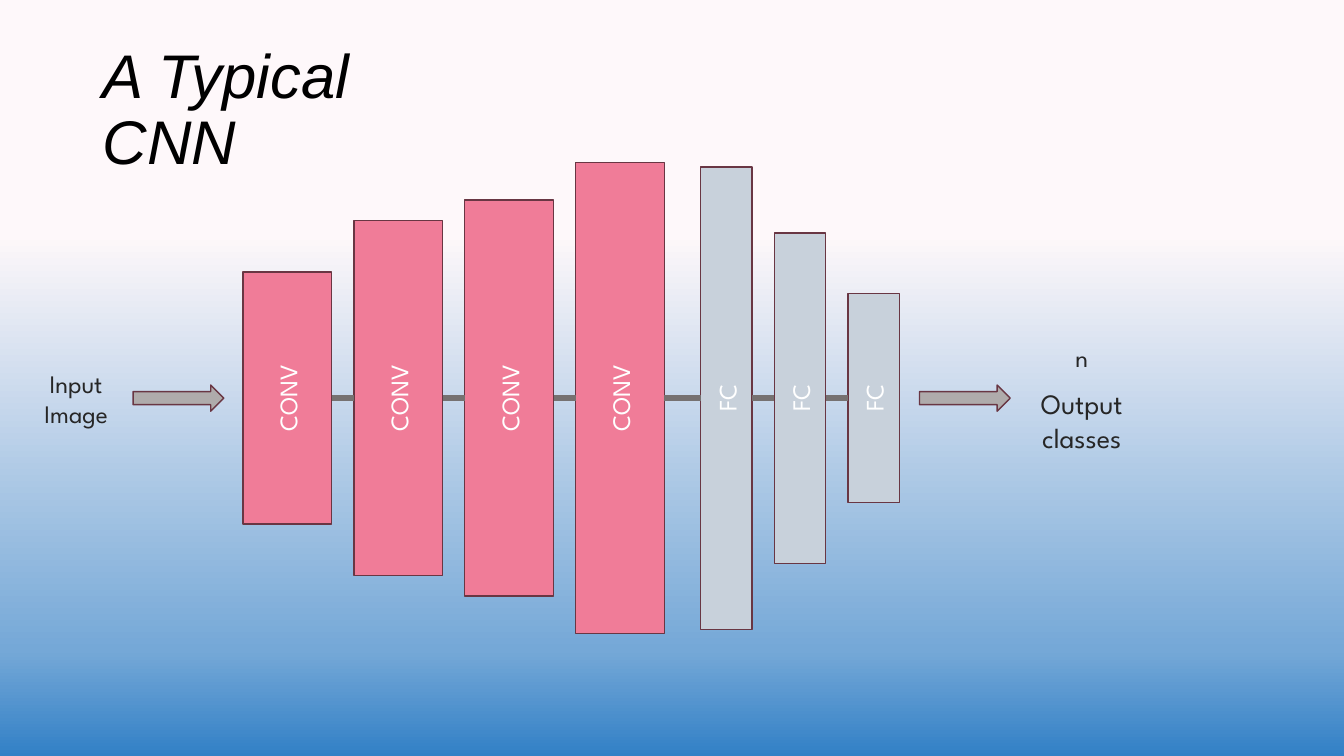
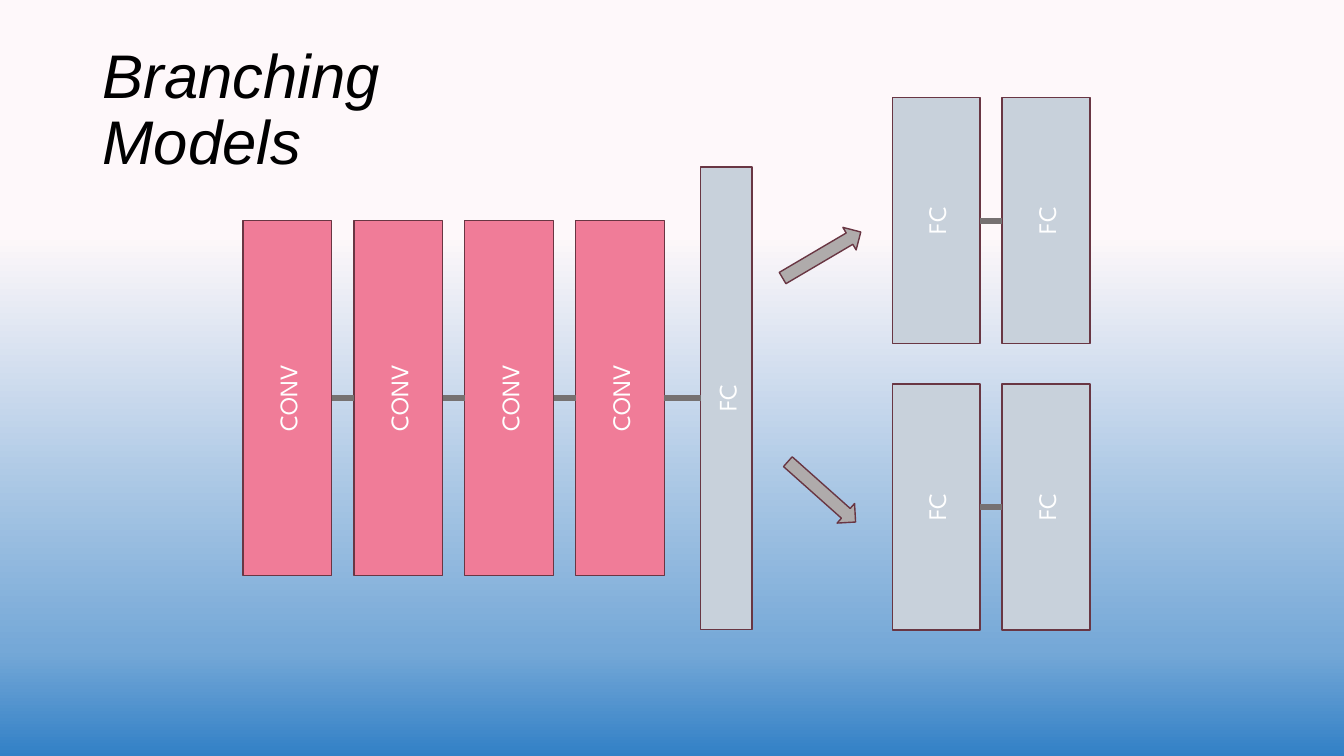
import copy
from dataclasses import dataclass

import pptx
import pptx.dml.color
import pptx.enum.shapes
import pptx.enum.text
import pptx.oxml
import pptx.oxml.ns
import pptx.util
from pptx.util import Inches

Color = pptx.dml.color.RGBColor
Shape = pptx.enum.shapes.MSO_SHAPE
Align = pptx.enum.text.PP_ALIGN
Anchor = pptx.enum.text.MSO_ANCHOR

PINK = Color(0xF0, 0x7C, 0x98)
SILVER = Color(0xC8, 0xD1, 0xDB)
ARROW_GRAY = Color(0xAF, 0xAB, 0xAB)
LINK_GRAY = Color(0x76, 0x71, 0x71)
MAROON = Color(0x69, 0x36, 0x43)
INK = Color(0x26, 0x26, 0x26)
BLACK = Color(0, 0, 0)
WHITE = Color(0xFF, 0xFF, 0xFF)
SKY = [
    (0.31, Color(0xFE, 0xF8, 0xFA)),
    (0.86, Color(0x75, 0xA8, 0xD7)),
    (1.0, Color(0x32, 0x80, 0xC6)),
]
TITLE_FONT = "Arial"
BODY_FONT = "League Spartan"

GAP = 0.22
MIDDLE = 3.95
CONV_LEFT = 2.41
FC_LEFT = 6.95
ARROW_WIDTH, ARROW_HEIGHT = 0.9, 0.26


@dataclass
class Layer:
    label: str
    fill: Color
    width: float


CONV = Layer("CONV", PINK, 0.88)
FC = Layer("FC", SILVER, 0.51)
BRANCH_FC = Layer("FC", SILVER, 0.87)


def paint_background(master):
    fill = master.background.fill
    fill.gradient()
    fill.gradient_angle = 270
    stop_list = master.element.find(".//" + pptx.oxml.ns.qn("a:gsLst"))
    stop_list.append(copy.deepcopy(stop_list[-1]))
    for stop, (position, color) in zip(fill.gradient_stops, SKY):
        stop.position = position
        stop.color.rgb = color


def style_font(para, name, size, color):
    para.font.name = name
    para.font.size = pptx.util.Pt(size)
    para.font.color.rgb = color


def add_outlined_shape(page, kind, left, top, width, height, fill):
    shape = page.shapes.add_shape(
        kind, Inches(left), Inches(top), Inches(width), Inches(height))
    shape.shadow.inherit = False
    shape.fill.solid()
    shape.fill.fore_color.rgb = fill
    shape.line.color.rgb = MAROON
    shape.line.width = pptx.util.Pt(1)
    return shape


def add_layer(page, layer, left, middle, height):
    block = add_outlined_shape(
        page, Shape.RECTANGLE, left, middle - height / 2, layer.width, height, layer.fill)
    frame = block.text_frame
    frame.text = layer.label
    frame.vertical_anchor = Anchor.MIDDLE
    frame._txBody.bodyPr.set("vert", "vert270")
    para = frame.paragraphs[0]
    para.alignment = Align.CENTER
    style_font(para, BODY_FONT, 18, WHITE)


def add_link(page, start, end, middle):
    link = page.shapes.add_connector(
        pptx.enum.shapes.MSO_CONNECTOR.STRAIGHT,
        Inches(start), Inches(middle), Inches(end), Inches(middle))
    link.line.color.rgb = LINK_GRAY
    link.line.width = pptx.util.Pt(4.5)
    pptx.oxml.ns.qn("a:effectLst")
    link._element.spPr.append(pptx.oxml.parse_xml(
        "<a:effectLst %s/>" % pptx.oxml.ns.nsdecls("a")))


def add_layer_row(page, layer, left, middle, heights):
    for index, height in enumerate(heights):
        block_left = left + index * (layer.width + GAP)
        add_layer(page, layer, block_left, middle, height)
        if index:
            add_link(page, block_left - GAP, block_left, middle)
    return block_left + layer.width


def add_network(page, conv_heights, fc_heights):
    conv_right = add_layer_row(page, CONV, CONV_LEFT, MIDDLE, conv_heights)
    add_layer_row(page, FC, FC_LEFT, MIDDLE, fc_heights)
    add_link(page, conv_right, FC_LEFT, MIDDLE)


def add_arrow(page, left, middle, angle=0):
    arrow = add_outlined_shape(
        page, Shape.RIGHT_ARROW, left, middle - ARROW_HEIGHT / 2,
        ARROW_WIDTH, ARROW_HEIGHT, ARROW_GRAY)
    arrow.rotation = angle


def add_text_frame(page, left, top, width, height):
    box = page.shapes.add_textbox(
        Inches(left), Inches(top), Inches(width), Inches(height))
    box.text_frame.word_wrap = True
    return box.text_frame


def add_caption(page, left, width, lines):
    height = 2.2
    frame = add_text_frame(page, left, MIDDLE - height / 2, width, height)
    frame.vertical_anchor = Anchor.MIDDLE
    frame.text = "\n".join(text for text, size in lines)
    for para, (text, size) in zip(frame.paragraphs, lines):
        para.alignment = Align.CENTER
        para.space_before = pptx.util.Pt(10)
        style_font(para, BODY_FONT, size, INK)


def add_page(deck, title):
    page = deck.slides.add_slide(deck.slide_layouts[6])
    frame = add_text_frame(page, 0.92, 0.4, 3.9, 2.3)
    frame.text = title
    para = frame.paragraphs[0]
    para.line_spacing = 0.9
    para.font.italic = True
    style_font(para, TITLE_FONT, 44, BLACK)
    return page


def build_typical_cnn(deck):
    page = add_page(deck, "A Typical CNN")
    add_network(page, [2.5, 3.52, 3.93, 4.67], [4.59, 3.28, 2.07])
    add_arrow(page, 1.32, MIDDLE)
    add_arrow(page, 9.12, MIDDLE)
    add_caption(page, 0.19, 1.13, [("Input Image", 18)])
    add_caption(page, 10.03, 1.4, [("n", 18), ("Output classes", 20)])


def build_branching_models(deck):
    page = add_page(deck, "Branching Models")
    add_network(page, [3.52] * 4, [4.59])
    for branch_middle, arrow_middle, angle in [(2.19, 2.53, 329.5), (5.03, 4.88, 41.7)]:
        add_layer_row(page, BRANCH_FC, 8.85, branch_middle, [2.44] * 2)
        add_arrow(page, 7.7, arrow_middle, angle)


def main():
    deck = pptx.Presentation()
    deck.slide_width = Inches(13.33)
    deck.slide_height = Inches(7.5)
    paint_background(deck.slide_master)
    build_typical_cnn(deck)
    build_branching_models(deck)
    deck.save("out.pptx")


if __name__ == "__main__":
    main()
